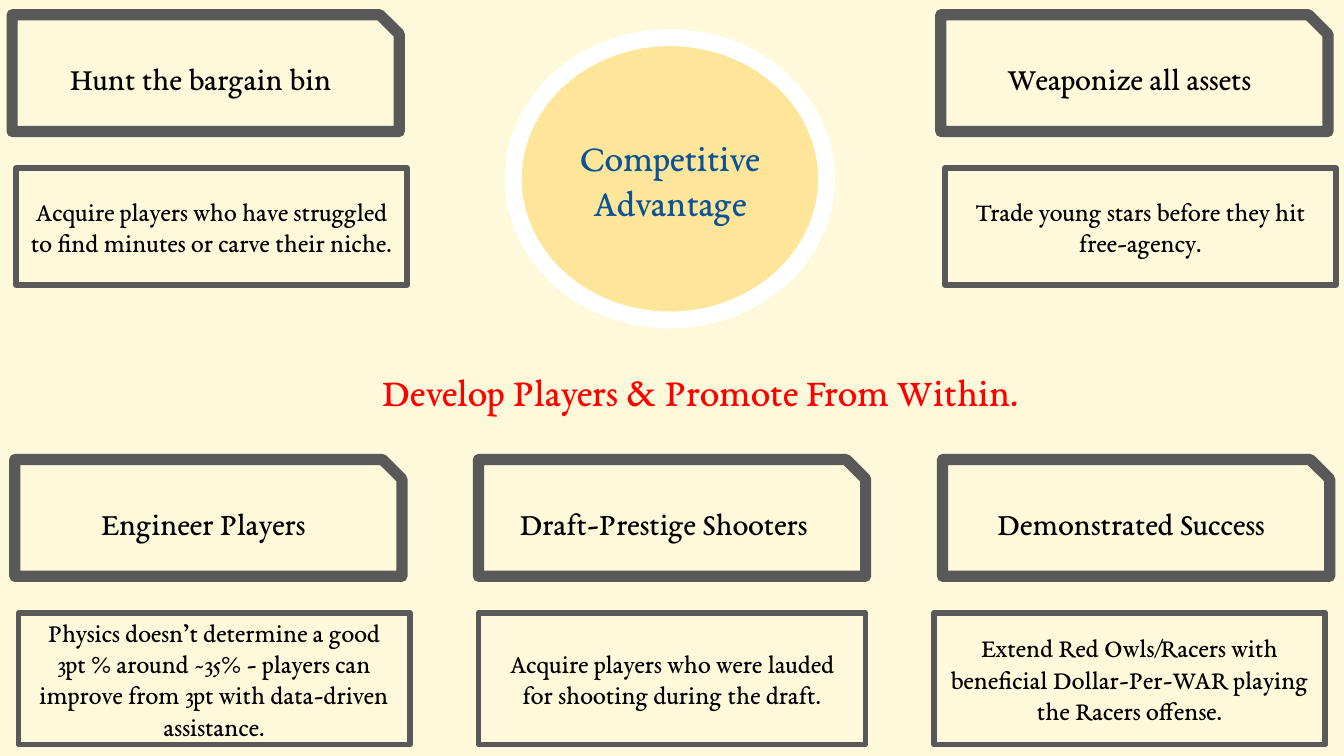
"""Build the competitive advantage slide with its five strategies."""
from pptx import Presentation
from pptx.dml.color import RGBColor
from pptx.enum.shapes import MSO_SHAPE as SHAPE
from pptx.enum.text import MSO_ANCHOR as ANCHOR, PP_ALIGN as ALIGN
from pptx.oxml.ns import qn
from pptx.util import Pt
from lxml.etree import SubElement

FONT = "EB Garamond"
INK, GREY, CREAM = "000000", "595959", "FFF9DC"


def rgb(value):
    return RGBColor.from_string(value)


def write(holder, words, size, color, anchor=ANCHOR.MIDDLE):
    frame = holder.text_frame
    frame.word_wrap = True
    frame.vertical_anchor = anchor
    frame.margin_left = frame.margin_right = Pt(7.2)
    frame.margin_top = frame.margin_bottom = Pt(7.2)
    paragraph = frame.paragraphs[0]
    paragraph.alignment = ALIGN.CENTER
    run = paragraph.add_run()
    run.text = words
    run.font.name = FONT
    run.font.size = Pt(size)
    run.font.color.rgb = rgb(color)


def add_panel(kind, left, top, width, height, border, weight, words, size, color=INK, fill=None):
    panel = slide.shapes.add_shape(kind, Pt(left), Pt(top), Pt(width), Pt(height))
    panel.shadow.inherit = False
    if fill:
        panel.fill.solid()
        panel.fill.fore_color.rgb = rgb(fill)
    else:
        panel.fill.background()
    panel.line.color.rgb = rgb(border)
    panel.line.width = Pt(weight)
    SubElement(panel.line._get_or_add_ln(), qn("a:round"))
    write(panel, words, size, color)


deck = Presentation()
deck.slide_width, deck.slide_height = Pt(720), Pt(405)
slide = deck.slides.add_slide(deck.slide_layouts[6])
slide.background.fill.solid()
slide.background.fill.fore_color.rgb = rgb(CREAM)

top_row = (7.9, 90, 62.6)
bottom_row = (246.2, 328.3, 70.6)
strategies = [
    (bottom_row, 256.3, 256.3, 207.4, "Draft-Prestige Shooters ",
     "Acquire players who were lauded for shooting during the draft."),
    (top_row, 6.5, 8.6, 209.5, "Hunt the bargain bin",
     "Acquire players who have struggled to find minutes or carve their niche."),
    (top_row, 504, 506.2, 209.5, "Weaponize all assets",
     "Trade young stars before they hit free-agency."),
    (bottom_row, 504.9, 500.4, 209.5, "Demonstrated Success",
     "Extend Red Owls/Racers with beneficial Dollar-Per-WAR playing the Racers offense."),
    (bottom_row, 7.9, 10, 209.5, "Engineer Players",
     "Physics doesn’t determine a good 3pt % around ~35% - players can improve "
     "from 3pt with data-driven assistance."),
]
for row, title_left, detail_left, detail_width, title, detail in strategies:
    title_top, detail_top, detail_height = row
    add_panel(SHAPE.SNIP_1_RECTANGLE, title_left, title_top, 207.4, 62.6, GREY, 6, title, 17)
    add_panel(SHAPE.RECTANGLE, detail_left, detail_top, detail_width, detail_height,
              GREY, 3, detail, 14)

add_panel(SHAPE.OVAL, 275, 20.2, 167.8, 151.2, "FFFFFF", 9,
          "Competitive Advantage", 20, "0B5394", "FFE599")

motto = slide.shapes.add_textbox(Pt(56.2), Pt(189.4), Pt(638.6), Pt(25.9))
write(motto, "Develop Players & Promote From Within.", 21, "FF0000", ANCHOR.TOP)

deck.save("out.pptx")
